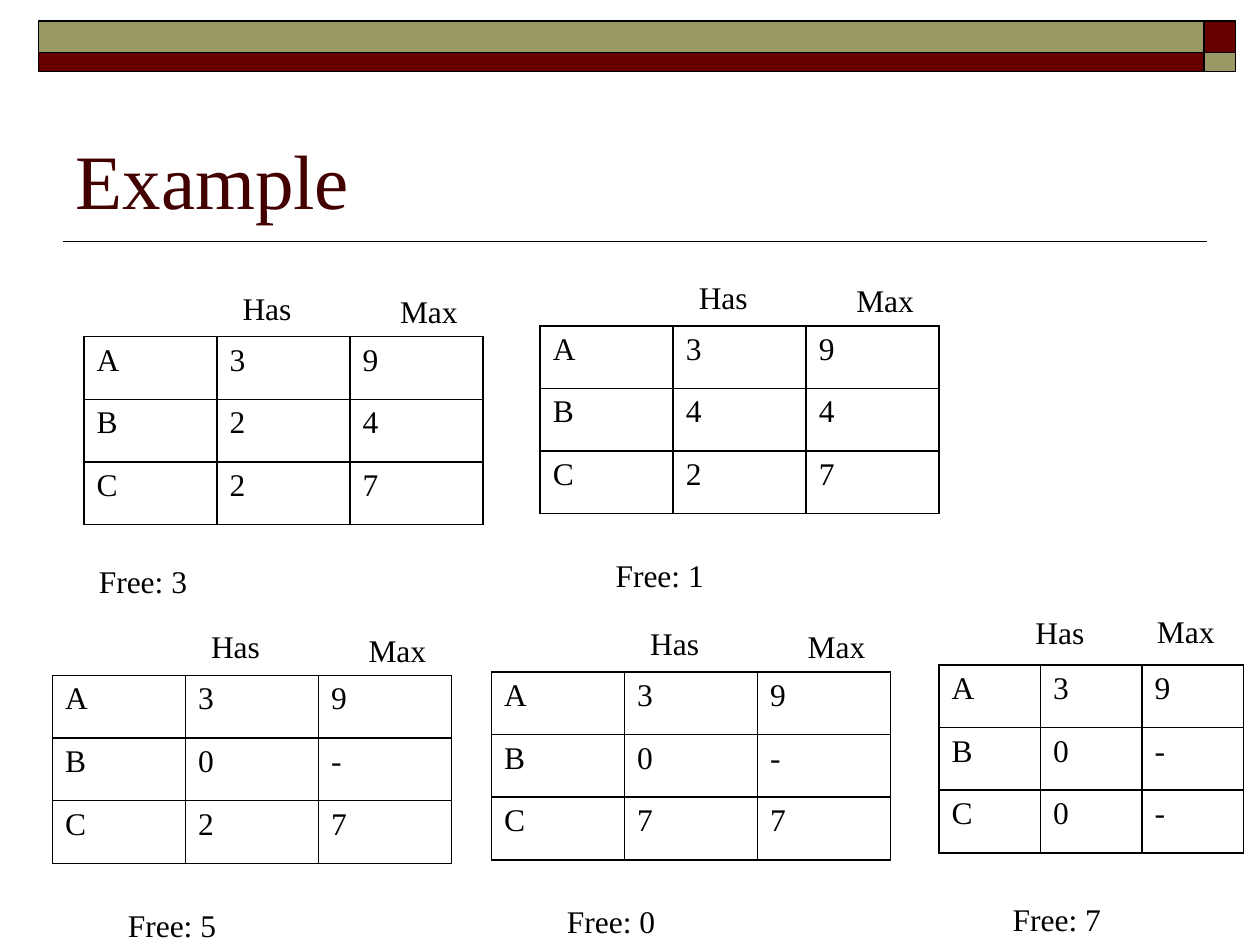
from lxml.etree import SubElement as Sub
from pptx import Presentation
from pptx.dml.color import RGBColor
from pptx.enum.shapes import MSO_CONNECTOR as Conn, MSO_SHAPE as Shape
from pptx.enum.text import MSO_ANCHOR as Anchor, MSO_AUTO_SIZE as Fit, PP_ALIGN as Align
from pptx.oxml.ns import qn
from pptx.util import Pt

BLACK, WINE, OLIVE, DARK = "000000", "660000", "999966", "420000"


def color(code):
    return RGBColor.from_string(code)


class Deck:
    font = "Times New Roman"
    size = 18

    def __init__(self):
        self.prs = Presentation()
        self.prs.slide_width, self.prs.slide_height = Pt(720), Pt(540)
        self.slide = self.prs.slides.add_slide(self.prs.slide_layouts[5])
        self.shapes = self.slide.shapes

    def style(self, frame, size=size, code=BLACK):
        for para in frame.paragraphs:
            para.alignment = Align.LEFT
            for run in para.runs:
                run.font.name, run.font.size = self.font, Pt(size)
                run.font.color.rgb = color(code)

    def title(self, text, x, y, w, h):
        box = self.shapes.title
        box.left, box.top, box.width, box.height = Pt(x), Pt(y), Pt(w), Pt(h)
        frame = box.text_frame
        frame.text = text
        frame.auto_size, frame.vertical_anchor = Fit.NONE, Anchor.BOTTOM
        self.style(frame, 44, DARK)

    def rule(self, x1, x2, y):
        """Draw a level line from x1 to x2."""
        line = self.shapes.add_connector(Conn.STRAIGHT, Pt(x1), Pt(y), Pt(x2), Pt(y))
        line.line.color.rgb, line.line.width = color(BLACK), Pt(1)
        Sub(line._element.spPr, qn("a:effectLst"))

    def rect(self, x, y, w, h, code):
        box = self.shapes.add_shape(Shape.RECTANGLE, Pt(x), Pt(y), Pt(w), Pt(h))
        box.shadow.inherit = False
        box.fill.solid()
        box.fill.fore_color.rgb = color(code)
        box.line.color.rgb, box.line.width = color(BLACK), Pt(1)

    def label(self, text, x, y, w):
        box = self.shapes.add_textbox(Pt(x), Pt(y), Pt(w), Pt(29))
        frame = box.text_frame
        frame.text = text
        frame.word_wrap, frame.auto_size = True, Fit.SHAPE_TO_FIT_TEXT
        self.style(frame)

    def border(self, cell):
        props = cell._tc.get_or_add_tcPr()
        for i, side in enumerate(("lnL", "lnR", "lnT", "lnB")):
            line = props.makeelement(qn("a:" + side), {"w": str(Pt(1))})
            Sub(Sub(line, qn("a:solidFill")), qn("a:srgbClr"), val=BLACK)
            props.insert(i, line)

    def table(self, rows, x, y, col, row=35.8):
        frame = self.shapes.add_table(len(rows), len(rows[0]), Pt(x), Pt(y),
                                      Pt(col * len(rows[0])), Pt(row * len(rows)))
        grid = frame.table
        grid.first_row = grid.horz_banding = False
        for column in grid.columns:
            column.width = Pt(col)
        for line, texts in zip(grid.rows, rows):
            line.height = Pt(row)
            for cell, text in zip(line.cells, texts):
                cell.text = text
                cell.fill.background()
                self.border(cell)
                self.style(cell.text_frame)


def state(deck, x, y, values, free, col=76, has=(83.5, -31, 54),
          most=(173.5, -29, 54), left=(36, 128, 94)):
    """Add one table with its labels; each label is (dx, dy, width)."""
    deck.table([name + pair for name, pair in zip("ABC", values.split())], x, y, col)
    for text, (dx, dy, w) in (("Has", has), ("Max", most), (f"Free: {free}", left)):
        deck.label(text, x + dx, y + dy, w)


def main():
    deck = Deck()
    deck.rule(36, 690, 138)
    for y, h, wide, small in ((12, 18, OLIVE, WINE), (30, 11, WINE, OLIVE)):
        deck.rect(22, y, 666, h, wide)
        deck.rect(688, y, 18, h, small)
    deck.title("Example", 36, 42, 648, 90)

    state(deck, 48, 192.4, "39 24 27", 3, left=(1.4, 125.3, 94))
    state(deck, 308.7, 186.2, "39 44 27", 1)
    state(deck, 30, 386, "39 0- 27", 5)
    state(deck, 280.9, 384, "39 0- 77", 0)
    state(deck, 536.6, 380, "39 0- 0-", 7, col=58, has=(48, -33, 60),
          most=(117.4, -33.8, 55), left=(35, 130.5, 72))
    deck.prs.save("out.pptx")


if __name__ == "__main__":
    main()
